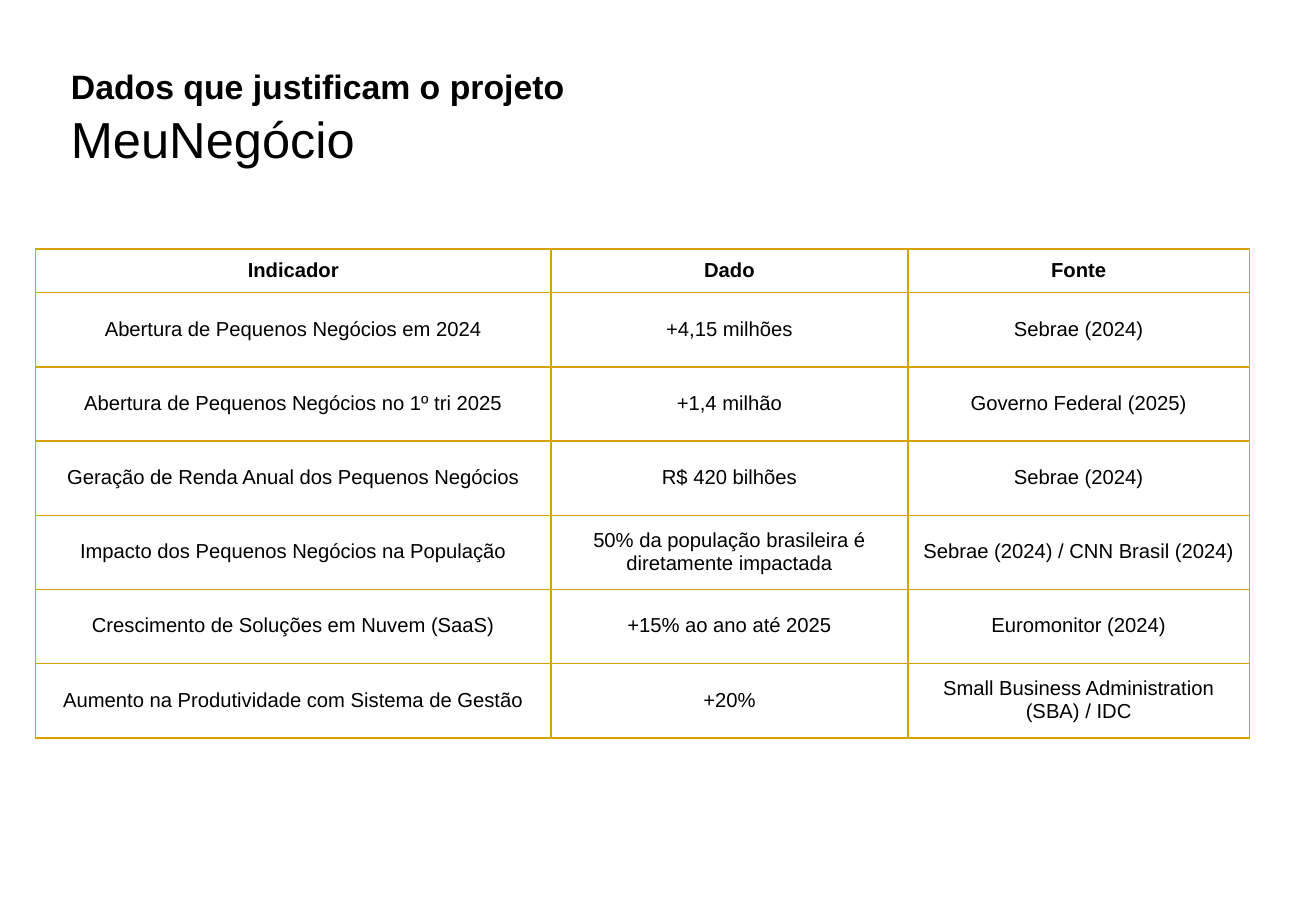
"""Builds the slide with the market data that justify the MeuNegócio project."""
from dataclasses import dataclass

from lxml import etree
from pptx import Presentation
from pptx.dml.color import RGBColor
from pptx.enum.text import MSO_ANCHOR, MSO_AUTO_SIZE, PP_ALIGN
from pptx.oxml.ns import qn
from pptx.util import Pt

CENTER, LEFT = PP_ALIGN.CENTER, PP_ALIGN.LEFT
MIDDLE, TOP = MSO_ANCHOR.MIDDLE, MSO_ANCHOR.TOP
NO_AUTOFIT = MSO_AUTO_SIZE.NONE
TITLE_ONLY = 5

HEADING = "Dados que justificam o projeto"
PROJECT = "MeuNegócio"
HEADER = ("Indicador", "Dado", "Fonte")
INDICATORS = [
    ("Abertura de Pequenos Negócios em 2024", "+4,15 milhões", "Sebrae (2024)"),
    ("Abertura de Pequenos Negócios no 1º tri 2025", "+1,4 milhão", "Governo Federal (2025)"),
    ("Geração de Renda Anual dos Pequenos Negócios", "R$ 420 bilhões", "Sebrae (2024)"),
    ("Impacto dos Pequenos Negócios na População",
     "50% da população brasileira é\ndiretamente impactada",
     "Sebrae (2024) / CNN Brasil (2024)"),
    ("Crescimento de Soluções em Nuvem (SaaS)", "+15% ao ano até 2025", "Euromonitor (2024)"),
    ("Aumento na Produtividade com Sistema de Gestão", "+20%",
     "Small Business Administration (SBA) / IDC"),
]

SLIDE_SIZE = (780, 540)
TITLE_BOX = (42, 38.2, 626, 65)
TABLE_ORIGIN = (21.2, 147.6)
COLUMN_WIDTHS = (305.3, 211.7, 202.3)
HEADER_HEIGHT, ROW_HEIGHT = 25.9, 44


@dataclass(frozen=True)
class Theme:
    """Colours, font and type sizes of the slide."""
    font: str = "Arial"
    ink: str = "000000"
    gold: str = "D5A200"
    heading: int = 20
    project: int = 30
    cell: int = 12
    border: int = 1


THEME = Theme()


def add_line(paragraph, text, size, bold, align):
    """Write one formatted run into a paragraph."""
    paragraph.alignment = align
    run = paragraph.add_run()
    run.text = text
    run.font.name = THEME.font
    run.font.size = Pt(size)
    run.font.bold = bold
    run.font.color.rgb = RGBColor.from_string(THEME.ink)


def set_insets(holder, top=0, bottom=0):
    """Clear the side margins of a cell or text frame."""
    holder.margin_left = holder.margin_right = 0
    holder.margin_top, holder.margin_bottom = Pt(top), Pt(bottom)


def add_borders(cell):
    """Draw the four gold edges of a cell."""
    properties = cell._tc.get_or_add_tcPr()
    for position, edge in enumerate(("a:lnL", "a:lnR", "a:lnT", "a:lnB")):
        line = etree.Element(qn(edge), w=str(Pt(THEME.border)))
        fill = etree.SubElement(line, qn("a:solidFill"))
        etree.SubElement(fill, qn("a:srgbClr"), val=THEME.gold)
        properties.insert(position, line)


def fill_cell(cell, text, bold):
    """Format a table cell and write its lines."""
    cell.fill.background()
    add_borders(cell)
    set_insets(cell, bottom=1)
    cell.vertical_anchor = MIDDLE
    frame = cell.text_frame
    for index, line in enumerate(text.split("\n")):
        paragraph = frame.add_paragraph() if index else frame.paragraphs[0]
        add_line(paragraph, line, THEME.cell, bold, CENTER)


def add_title(slide):
    """Place the heading and the project name in the title placeholder."""
    title = slide.shapes.title
    title.left, title.top, title.width, title.height = map(Pt, TITLE_BOX)
    frame = title.text_frame
    frame.word_wrap = True
    frame.auto_size = NO_AUTOFIT
    frame.vertical_anchor = TOP
    set_insets(frame, top=1)
    add_line(frame.paragraphs[0], HEADING, THEME.heading, True, LEFT)
    project = frame.add_paragraph()
    project.space_before = Pt(1)
    add_line(project, PROJECT, THEME.project, False, LEFT)


def add_indicators(slide):
    """Build the table of indicators, data and sources."""
    rows = [HEADER, *INDICATORS]
    heights = [HEADER_HEIGHT] + [ROW_HEIGHT] * len(INDICATORS)
    size = (sum(COLUMN_WIDTHS), sum(heights))
    table = slide.shapes.add_table(
        len(rows), len(HEADER), *map(Pt, TABLE_ORIGIN + size)).table
    table.first_row = table.horz_banding = False
    for column, width in zip(table.columns, COLUMN_WIDTHS):
        column.width = Pt(width)
    for row_index, (texts, height) in enumerate(zip(rows, heights)):
        table.rows[row_index].height = Pt(height)
        for column_index, text in enumerate(texts):
            fill_cell(table.cell(row_index, column_index), text, row_index == 0)


def main():
    """Create and save the presentation."""
    deck = Presentation()
    deck.slide_width, deck.slide_height = map(Pt, SLIDE_SIZE)
    slide = deck.slides.add_slide(deck.slide_layouts[TITLE_ONLY])
    add_indicators(slide)
    add_title(slide)
    deck.save("out.pptx")


if __name__ == "__main__":
    main()
